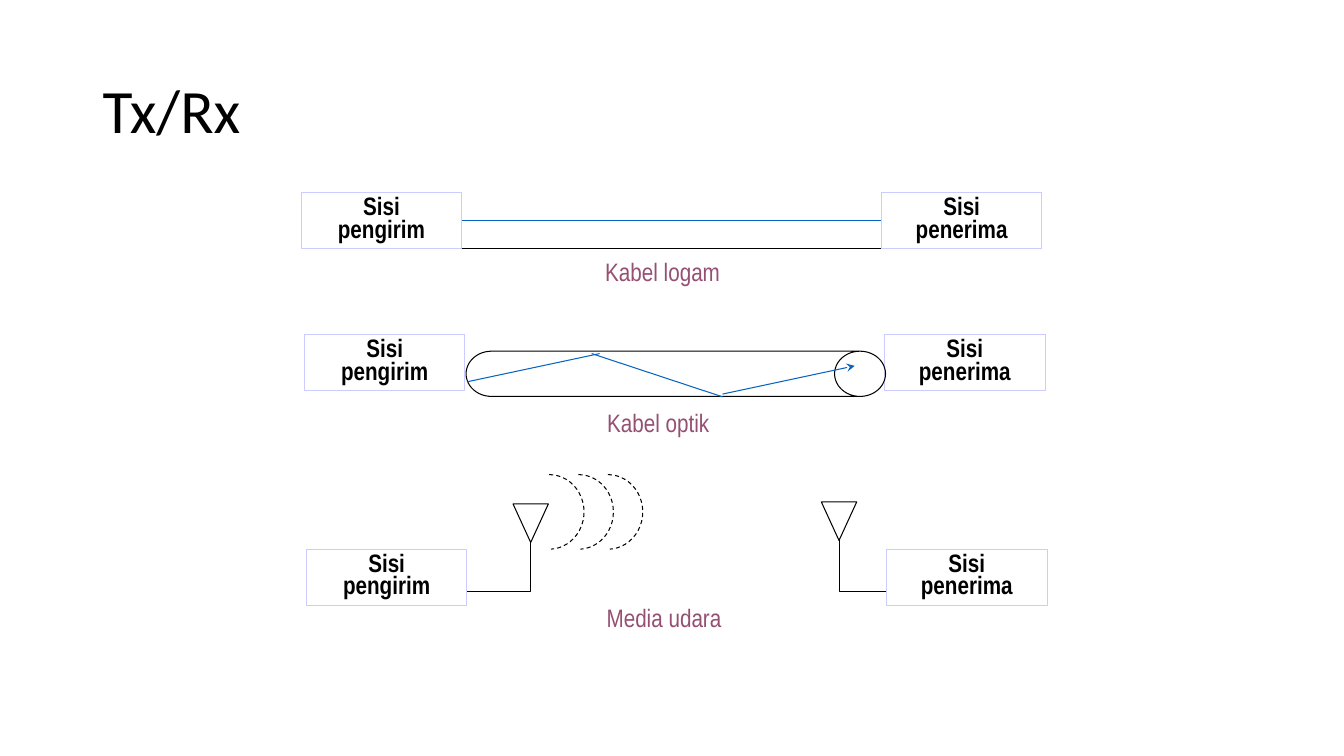
from lxml import etree
from pptx import Presentation
from pptx.dml.color import RGBColor
from pptx.enum.dml import MSO_LINE
from pptx.enum.shapes import MSO_CONNECTOR as Link, MSO_SHAPE as Preset
from pptx.enum.text import MSO_ANCHOR as Anchor, MSO_AUTO_SIZE as AutoSize, PP_ALIGN as Align
from pptx.oxml.ns import qn
from pptx.util import Cm, Pt

COLORS = {"text": "000000", "label": "954F72", "box": "CCCCFF", "signal": "0563C1"}
TITLE = {"name": "Calibri", "size": Pt(44), "bold": False}
STATION = {"name": "Arial Narrow", "size": Pt(18), "bold": True}
LABEL = {"name": "Arial Narrow", "size": Pt(18), "bold": False}

# Station size and distance from sender to receiver, in cm
STATION_W, STATION_H, RECEIVER_DX = 4.05, 1.42, 14.62


def color(name):
    return RGBColor.from_string(COLORS[name])


def write(frame, lines, font, color_name, align=Align.CENTER, spacing=0.75):
    frame.word_wrap = True
    frame.text = "\n".join(lines)
    for paragraph in frame.paragraphs:
        paragraph.alignment = align
        paragraph.line_spacing = spacing
        run = paragraph.runs[0]
        for name, value in font.items():
            setattr(run.font, name, value)
        run.font.color.rgb = color(color_name)


def add_outline(slide, preset, left, top, width, height, line="text"):
    shape = slide.shapes.add_shape(preset, Cm(left), Cm(top), Cm(width), Cm(height))
    shape.shadow.inherit = False
    shape.fill.background()
    shape.line.color.rgb = color(line)
    shape.line.width = Pt(0.75)
    return shape


def add_link(slide, start, end, line="text", kind=Link.STRAIGHT):
    connector = slide.shapes.add_connector(kind, *(Cm(value) for value in (*start, *end)))
    connector.line.color.rgb = color(line)
    connector.line.width = Pt(0.75)
    etree.SubElement(connector._element.spPr, qn("a:effectLst"))
    return connector


def add_label(slide, text, left, top, width):
    box = slide.shapes.add_textbox(Cm(left), Cm(top), Cm(width), Cm(0.84))
    write(box.text_frame, [text], LABEL, "label")
    box.text_frame.auto_size = AutoSize.SHAPE_TO_FIT_TEXT


def add_stations(slide, left, top):
    stations = []
    for dx, role in ((0, "pengirim"), (RECEIVER_DX, "penerima")):
        station = add_outline(slide, Preset.RECTANGLE, left + dx, top, STATION_W, STATION_H, "box")
        write(station.text_frame, ["Sisi", role], STATION, "text")
        station.text_frame.vertical_anchor = Anchor.TOP
        station.text_frame.auto_size = AutoSize.SHAPE_TO_FIT_TEXT
        stations.append(station)
    return stations


def add_title(slide, left, top, width, height):
    title = slide.shapes.title
    title.left, title.top, title.width, title.height = (
        Cm(value) for value in (left, top, width, height))
    write(title.text_frame, ["Tx/Rx"], TITLE, "text", Align.LEFT, 0.9)
    title.text_frame.vertical_anchor = Anchor.MIDDLE


def add_metal_cable(slide, left, top):
    sender, receiver = add_stations(slide, left, top)
    start, end = left + STATION_W, left + RECEIVER_DX
    middle, bottom = top + STATION_H / 2, top + STATION_H
    wire = add_link(slide, (start, middle), (end, middle), "signal")
    wire.begin_connect(sender, 3)
    wire.end_connect(receiver, 1)
    add_link(slide, (start, bottom), (end, bottom))
    add_label(slide, "Kabel logam", left + 6.2, top + 1.65, 5.82)


def add_optical_cable(slide, left, top):
    add_stations(slide, left, top)
    # Upright cylinder turned a quarter around its centre
    thickness, length = 1.14, 10.57
    fibre = add_outline(slide, Preset.CAN, left + 9.36 - thickness / 2,
                        top + 0.99 - length / 2, thickness, length)
    fibre.rotation = 90
    fibre.adjustments[0] = 1.126
    # Light ray reflected inside the fibre
    rays = [((4.11, 1.19), (7.44, 0.48)),
            ((10.54, 1.57), (7.24, 0.48)),
            ((10.54, 1.5), (13.87, 0.79))]
    for (x1, y1), (x2, y2) in rays:
        ray = add_link(slide, (left + x1, top + y1), (left + x2, top + y2), "signal")
    etree.SubElement(ray.line._get_or_add_ln(), qn("a:tailEnd"), type="stealth")
    add_label(slide, "Kabel optik", left + 6.43, top + 1.88, 4.98)


def add_radio(slide, left, top):
    add_stations(slide, left, top)
    # Antennas with their feed lines
    width, height = 0.89, 0.97
    for feed_dx, dx, dy in ((STATION_W, 5.21, -1.14), (RECEIVER_DX, 12.98, -1.19)):
        add_outline(slide, Preset.FLOWCHART_MERGE, left + dx, top + dy, width, height)
        feed = add_link(slide, (left + feed_dx, top + 1.07),
                        (left + dx + width / 2, top + dy + height), kind=Link.ELBOW)
        feed._element.spPr.find(qn("a:prstGeom")).set("prst", "bentConnector2")
    # Radio waves; arc angles are in units of 5/3 degree
    for index in range(3):
        wave = add_outline(slide, Preset.ARC, left + 5.24 + index * 0.74, top - 1.88, 1.76, 1.88)
        wave.adjustments[0] = 270 * 0.6
        wave.adjustments[1] = 87 * 0.6
        wave.line.dash_style = MSO_LINE.DASH
    add_label(slide, "Media udara", left + 5.89, top + 1.4, 6.25)


def main():
    presentation = Presentation()
    presentation.slide_width, presentation.slide_height = Cm(33.87), Cm(19.05)
    slide = presentation.slides.add_slide(presentation.slide_layouts[5])
    add_title(slide, 2.33, 1.01, 29.21, 3.68)
    add_metal_cable(slide, 7.59, 4.85)
    add_optical_cable(slide, 7.67, 8.43)
    add_radio(slide, 7.72, 13.84)
    presentation.save("out.pptx")


if __name__ == "__main__":
    main()
